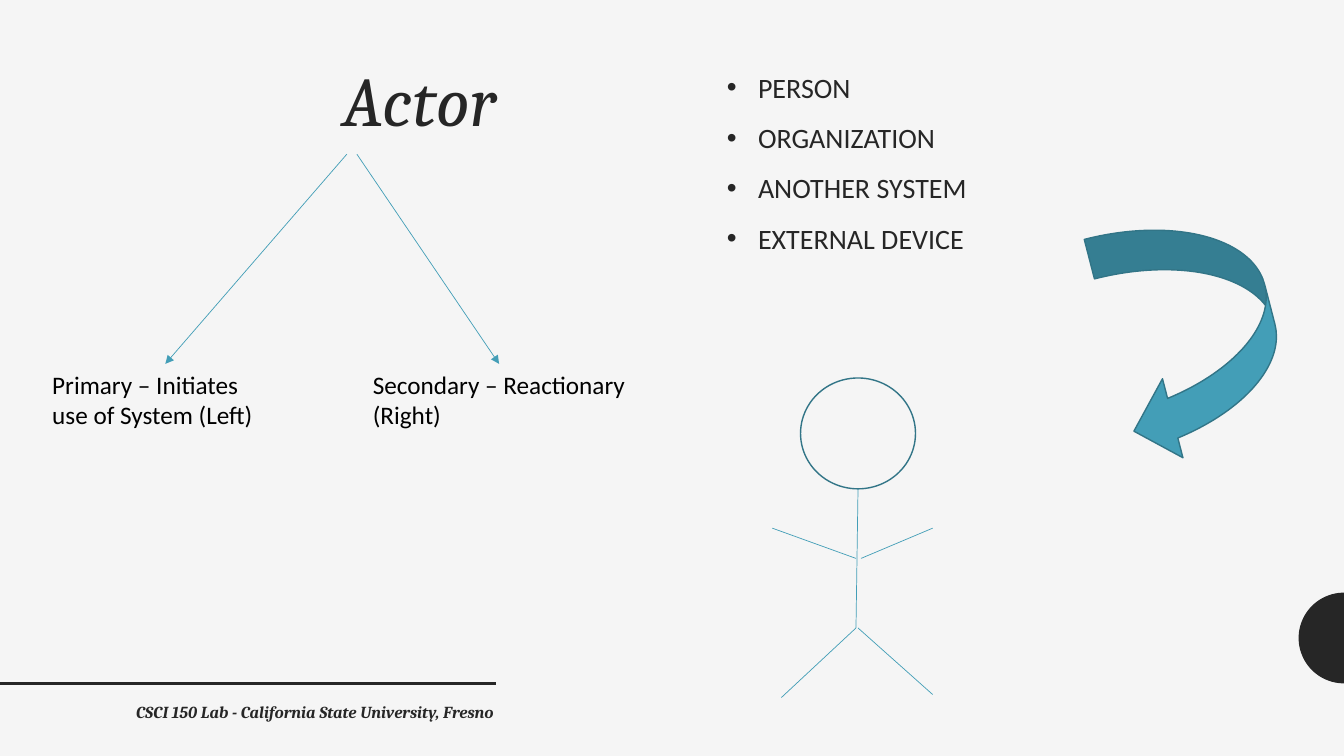
"""Build the "Actor" slide: actor kinds, examples and a stick figure."""
from math import cos, pi, sin

from lxml import etree
from pptx import Presentation
from pptx.dml.color import RGBColor
from pptx.enum.shapes import MSO_CONNECTOR, MSO_SHAPE
from pptx.enum.text import MSO_ANCHOR, MSO_AUTO_SIZE, PP_ALIGN
from pptx.oxml.ns import qn
from pptx.util import Inches, Pt

STRAIGHT = MSO_CONNECTOR.STRAIGHT
ELLIPSE, CURVED_ARROW = MSO_SHAPE.OVAL, MSO_SHAPE.CURVED_DOWN_ARROW
TOP, LEFT, RIGHT = MSO_ANCHOR.TOP, PP_ALIGN.LEFT, PP_ALIGN.RIGHT
GROW, FIXED = MSO_AUTO_SIZE.SHAPE_TO_FIT_TEXT, MSO_AUTO_SIZE.NONE

PAPER = RGBColor(0xF5, 0xF5, 0xF5)
INK = RGBColor(0x26, 0x26, 0x26)
BLACK = RGBColor(0, 0, 0)
TEAL = RGBColor(0x43, 0x9E, 0xB7)
DEEP_TEAL = RGBColor(0x32, 0x75, 0x87)

WIDTH, HEIGHT = 13.33, 7.5
MARGIN_LEFT, MARGIN_TOP = 0.83, 0.61
BRANCH_TOP, BRANCH_BOTTOM = 1.53, 3.61

TITLE = "Actor"
EXAMPLES = ["PERSON", "ORGANIZATION", "ANOTHER SYSTEM", "EXTERNAL DEVICE"]
FOOTER = ["CSCI 150 Lab - California State University, Fresno"]
KINDS = [
    {"lines": ["Primary – Initiates use of System (Left)"],
     "left": 0.42, "width": 2.44, "branch": (3.44, 1.64)},
    {"lines": ["Secondary – Reactionary", "(Right)"],
     "left": 3.6, "width": 2.93, "branch": (3.54, 4.95)},
]
HEAD = (7.94, 3.75, 1.14, 1.1)
LIMBS = {
    "body": ((8.51, 4.85), (8.49, 6.23)),
    "left leg": ((8.49, 6.23), (7.75, 6.92)),
    "right leg": ((8.51, 6.23), (9.25, 6.89)),
    "right arm": ((9.25, 5.24), (8.54, 5.54)),
    "left arm": ((7.66, 5.24), (8.49, 5.54)),
}
TURN_ARROW = (10.65, 2.51, 2.37, 1.62)
TURN_ANGLE = 75.5
DISC_CENTER_Y, DISC_RADIUS, DISC_STEPS = 6.33, 0.45, 48
RULE_Y, RULE_END = 6.78, 4.92


def inches(values):
    return [Inches(value) for value in values]


def add_line(page, start, end, color=TEAL, weight=0.5, arrow=False):
    line = page.shapes.add_connector(STRAIGHT, *inches(start + end))
    line.line.color.rgb = color
    line.line.width = Pt(weight)
    properties = line._element.spPr
    if arrow:
        outline = properties.find(qn("a:ln"))
        etree.SubElement(outline, qn("a:tailEnd"), type="triangle")
    etree.SubElement(properties, qn("a:effectLst"))


def add_figure(page, kind, place, fill):
    shape = page.shapes.add_shape(kind, *inches(place))
    shape.shadow.inherit = False
    shape.fill.solid()
    shape.fill.fore_color.rgb = fill
    shape.line.color.rgb = DEEP_TEAL
    shape.line.width = Pt(1)
    return shape


def write(box, lines, font, size, color, align=LEFT, bold=False,
          italic=False, fit=FIXED):
    frame = box.text_frame
    frame.text = "\n".join(lines)
    frame.word_wrap = True
    frame.auto_size = fit
    frame.vertical_anchor = TOP
    for para in frame.paragraphs:
        para.alignment = align
        for span in para.runs:
            span.font.name = font
            span.font.size = Pt(size)
            span.font.color.rgb = color
            span.font.bold = bold
            span.font.italic = italic
    return frame


def add_bullets(frame):
    indent = Inches(0.31)
    for para in frame.paragraphs:
        para.line_spacing = 1.12
        para.space_before = Pt(9)
        properties = para._p.get_or_add_pPr()
        properties.set("marL", str(indent))
        properties.set("indent", str(-indent))
        etree.SubElement(properties, qn("a:buFont"), typeface="Arial")
        etree.SubElement(properties, qn("a:buChar"), char="•")


def add_half_disc(page):
    angles = [pi / 2 + pi * step / DISC_STEPS for step in range(DISC_STEPS + 1)]
    points = [(Inches(WIDTH + DISC_RADIUS * cos(angle)),
               Inches(DISC_CENTER_Y + DISC_RADIUS * sin(angle)))
              for angle in angles]
    builder = page.shapes.build_freeform(*points[0])
    builder.add_line_segments(points[1:], close=True)
    disc = builder.convert_to_shape()
    disc.shadow.inherit = False
    disc.fill.solid()
    disc.fill.fore_color.rgb = INK
    disc.line.fill.background()


def main():
    deck = Presentation()
    deck.slide_width, deck.slide_height = inches((WIDTH, HEIGHT))
    page = deck.slides.add_slide(deck.slide_layouts[5])
    page.background.fill.solid()
    page.background.fill.fore_color.rgb = PAPER

    add_half_disc(page)
    add_line(page, (0, RULE_Y), (RULE_END, RULE_Y), INK, 2)

    title = page.shapes.title
    title.left, title.top, title.width, title.height = inches(
        (MARGIN_LEFT, MARGIN_TOP, 4.19, 5.42))
    heading = write(title, [TITLE], "Cambria", 50, INK, RIGHT, italic=True)
    heading.paragraphs[0].line_spacing = 0.9

    examples = page.shapes.add_textbox(*inches((7.11, MARGIN_TOP, 6.22, 6.18)))
    add_bullets(write(examples, EXAMPLES, "Calibri", 20, INK))

    footer = page.shapes.add_textbox(*inches((MARGIN_LEFT, 6.91, 4.17, 0.4)))
    write(footer, FOOTER, "Cambria", 12, INK, RIGHT, bold=True, italic=True)

    for kind in KINDS:
        start, end = kind["branch"]
        add_line(page, (start, BRANCH_TOP), (end, BRANCH_BOTTOM), arrow=True)
        label = page.shapes.add_textbox(
            *inches((kind["left"], BRANCH_BOTTOM, kind["width"], 0.71)))
        write(label, kind["lines"], "Calibri", 18, BLACK, fit=GROW)

    add_figure(page, ELLIPSE, HEAD, PAPER)
    for start, end in LIMBS.values():
        add_line(page, start, end)
    add_figure(page, CURVED_ARROW, TURN_ARROW, TEAL).rotation = TURN_ANGLE

    deck.save("out.pptx")


if __name__ == "__main__":
    main()
